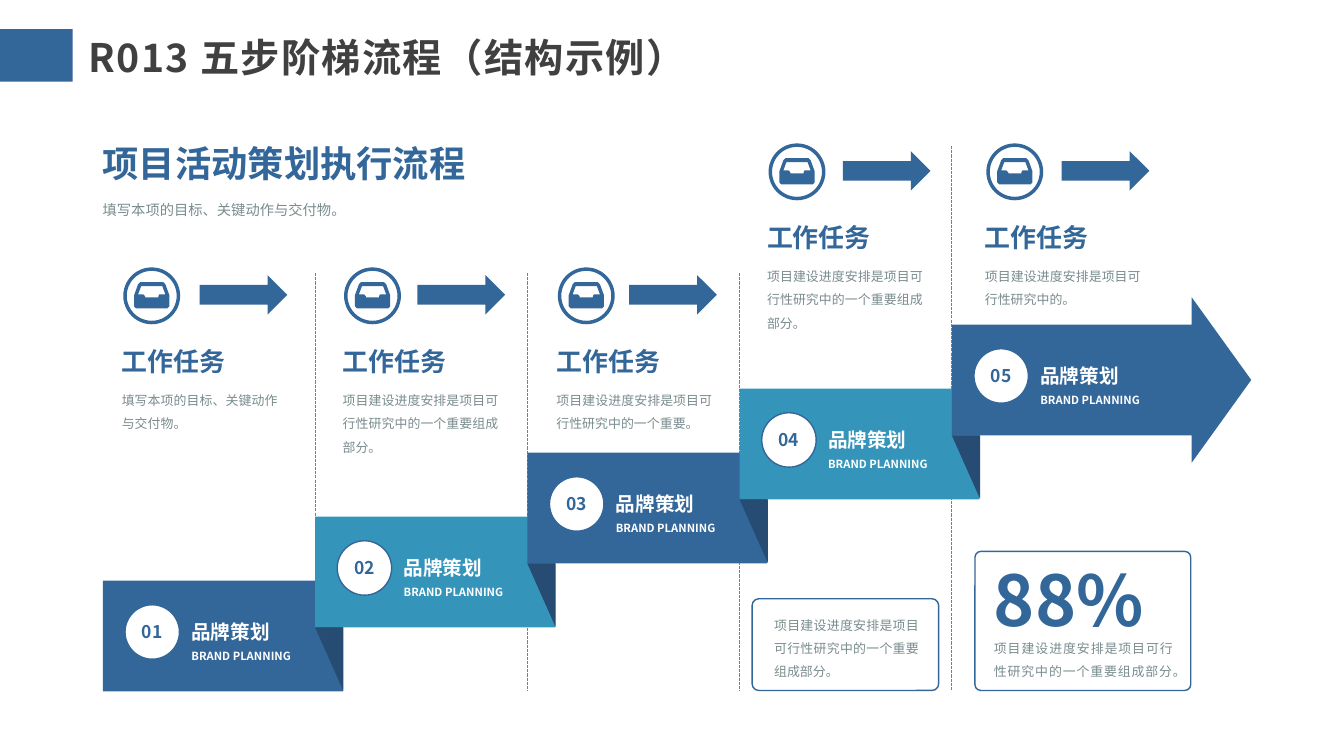
from lxml import etree
from pptx import Presentation
from pptx.dml.color import RGBColor
from pptx.enum.dml import MSO_LINE
from pptx.enum.shapes import MSO_CONNECTOR, MSO_SHAPE as SHAPE
from pptx.enum.text import MSO_ANCHOR, MSO_AUTO_SIZE, PP_ALIGN
from pptx.oxml.ns import qn
from pptx.util import Inches, Pt

FONT = "Noto Sans CJK SC"
BLUE = RGBColor(0x33, 0x66, 0x99)
TEAL = RGBColor(0x34, 0x94, 0xBA)
NAVY = RGBColor(0x26, 0x4C, 0x73)
DARK = RGBColor(0x40, 0x40, 0x40)
GRAY = RGBColor(0x7A, 0x8C, 0x8E)
DASH = RGBColor(0x7F, 0x7F, 0x7F)
WHITE = RGBColor(0xFF, 0xFF, 0xFF)

TITLE = "R013 五步阶梯流程（结构示例）"
HEADING = "项目活动策划执行流程"
INTRO = "填写本项的目标、关键动作与交付物。"
TASK = "工作任务"
STEP_LABELS = ("品牌策划", "BRAND PLANNING")
DETAIL = "项目建设进度安排是项目可行性研究中的一个重要组成部分。"
PERCENT = "88%"

LOW, HIGH = 2.67, 1.44
TASKS = [
    (1.11, LOW, 1.98, INTRO),
    (3.3, LOW, 4.14, DETAIL),
    (5.42, LOW, 6.24, "项目建设进度安排是项目可行性研究中的一个重要。"),
    (7.51, HIGH, 8.36, DETAIL),
    (9.67, HIGH, 10.53, "项目建设进度安排是项目可行性研究中的。"),
]
STEP_COUNT = len(TASKS)
STEP_LEFT, STEP_TOP = 1.02, 5.76
STEP_DX, STEP_DY = 2.105, -0.635
STEP_WIDTH, STEP_HEIGHT = 2.38, 1.1
FOLD_WIDTH, FOLD_HEIGHT = 0.28, 0.63
DIVIDER_TOPS = [2.71, 2.71, 2.71, 1.45]
DIVIDER_BOTTOM = 6.85

TRAY_OUTER = [(0.35, 0.24), (0.33, 0.26), (0.02, 0.26), (0, 0.24), (0, 0.13),
              (0.04, 0.02), (0.06, 0), (0.29, 0), (0.31, 0.02), (0.35, 0.13)]
TRAY_INNER = [(0.28, 0.04), (0.07, 0.04), (0.04, 0.12), (0.09, 0.12), (0.11, 0.14),
              (0.11, 0.15), (0.24, 0.15), (0.24, 0.14), (0.25, 0.12), (0.31, 0.12)]
ARROW_HEAD = [(0, 0), (2.38, 0), (2.38, -0.27), (2.97, 0.55),
              (2.38, 1.37), (2.38, 1.1), (0, 1.1)]

presentation = Presentation()
presentation.slide_width, presentation.slide_height = Inches(13.33), Inches(7.5)
slide = presentation.slides.add_slide(presentation.slide_layouts[6])
shapes = slide.shapes


def paint(shape, fill=None, line=None, line_width=1):
    shape.shadow.inherit = False
    if fill is None:
        shape.fill.background()
    else:
        shape.fill.solid()
        shape.fill.fore_color.rgb = fill
    if line is None:
        shape.line.fill.background()
    else:
        shape.line.color.rgb = line
        shape.line.width = Pt(line_width)
    return shape


def add_preset(kind, left, top, width, height, fill=None, line=None, line_width=1):
    shape = shapes.add_shape(kind, Inches(left), Inches(top), Inches(width), Inches(height))
    return paint(shape, fill, line, line_width)


def add_outline(left, top, contours, fill):
    contours = [[(Inches(left + x), Inches(top + y)) for x, y in contour] for contour in contours]
    builder = shapes.build_freeform(*contours[0][0])
    for index, contour in enumerate(contours):
        if index:
            builder.move_to(*contour[0])
        builder.add_line_segments(contour[1:], close=True)
    return paint(builder.convert_to_shape(), fill)


def style_paragraph(paragraph, size, color, bold, align=None, spacing=None):
    if align is not None:
        paragraph.alignment = align
    if spacing is not None:
        paragraph.line_spacing = spacing
    for run in paragraph.runs:
        run.font.name = FONT
        run.font.size = Pt(size)
        run.font.bold = bold
        run.font.color.rgb = color
        east_asian = etree.SubElement(run.font._element, qn("a:ea"))
        east_asian.set("typeface", FONT)


def add_text(left, top, width, height, lines, sizes, color, bold=False,
             align=PP_ALIGN.JUSTIFY, spacing=1.5, wrap=True):
    box = shapes.add_textbox(Inches(left), Inches(top), Inches(width), Inches(height))
    frame = box.text_frame
    frame.text = "\n".join(lines)
    frame.word_wrap = wrap
    frame.auto_size = MSO_AUTO_SIZE.SHAPE_TO_FIT_TEXT
    for paragraph, size in zip(frame.paragraphs, sizes):
        style_paragraph(paragraph, size, color, bold, align, spacing)
    return box


def add_divider(x, top):
    divider = shapes.add_connector(MSO_CONNECTOR.STRAIGHT, Inches(x), Inches(top),
                                   Inches(x), Inches(DIVIDER_BOTTOM))
    divider.line.color.rgb = DASH
    divider.line.width = Pt(0.75)
    divider.line.dash_style = MSO_LINE.SQUARE_DOT
    etree.SubElement(divider._element.spPr, qn("a:effectLst"))


def step_corner(index):
    return STEP_LEFT + STEP_DX * index, STEP_TOP + STEP_DY * index


def add_fold(index):
    left, top = step_corner(index)
    fold = add_preset(SHAPE.ISOSCELES_TRIANGLE, left, top + STEP_HEIGHT,
                      FOLD_WIDTH, FOLD_HEIGHT, NAVY)
    fold.adjustments[0] = 1
    fold.rotation = 180
    fold._element.spPr.xfrm.set("flipH", "1")


def add_step_label(index):
    left, top = step_corner(index)
    badge = add_preset(SHAPE.OVAL, left + 0.22, top + 0.24, 0.54, 0.54, WHITE, BLUE)
    frame = badge.text_frame
    frame.text = f"{index + 1:02d}"
    frame.word_wrap = False
    frame.margin_left = frame.margin_right = 0
    frame.vertical_anchor = MSO_ANCHOR.MIDDLE
    style_paragraph(frame.paragraphs[0], 12.5, BLUE, True, PP_ALIGN.CENTER)
    add_text(left + 0.78, top + 0.22, 1.34, 0.58, STEP_LABELS, (14, 8), WHITE, True)


def add_task(left, top, arrow_left, detail):
    add_text(left, top + 1.1, 1.74, 1, [detail], [9.2], GRAY)
    add_text(left, top + 0.56, 1.74, 0.5, [TASK], [18.5], BLUE, True)
    add_outline(left + 0.22, top + 0.13, [TRAY_OUTER, TRAY_INNER], BLUE)
    add_preset(SHAPE.OVAL, left + 0.13, top, 0.53, 0.53, line=BLUE, line_width=2.5)
    add_preset(SHAPE.RIGHT_ARROW, arrow_left, top + 0.06, 0.87, 0.39, BLUE)


def add_card(left, top, width, height, corner):
    card = add_preset(SHAPE.ROUNDED_RECTANGLE, left, top, width, height, WHITE, BLUE)
    card.adjustments[0] = corner


def main():
    """Build the five-step staircase process slide."""
    add_preset(SHAPE.RECTANGLE, 0, 0.29, 0.72, 0.52, BLUE)
    title = add_text(0.78, 0.28, 10.28, 0.57, [TITLE], [28], DARK, True, None, None)
    title.text_frame.auto_size = MSO_AUTO_SIZE.NONE
    title.text_frame.vertical_anchor = MSO_ANCHOR.MIDDLE
    title.text_frame.paragraphs[0].runs[0].font._element.set("spc", "100")
    add_text(0.92, 1.35, 3.81, 0.53, [HEADING], [25.9], BLUE, True, None, None, wrap=False)
    add_text(0.92, 1.86, 6.41, 0.58, [INTRO], [10.2], GRAY, align=None)

    for index, top in enumerate(DIVIDER_TOPS, start=1):
        add_divider(step_corner(index)[0], top)
    for index in range(STEP_COUNT - 1):
        add_preset(SHAPE.RECTANGLE, *step_corner(index), STEP_WIDTH, STEP_HEIGHT,
                   TEAL if index % 2 else BLUE)
    for index in range(1, STEP_COUNT):
        add_fold(index)
    add_outline(*step_corner(STEP_COUNT - 1), [ARROW_HEAD], BLUE)
    for index, task in enumerate(TASKS):
        add_step_label(index)
        add_task(*task)

    add_card(9.67, 5.47, 2.14, 1.38, 0.043)
    add_text(9.76, 5.47, 1.74, 0.93, [PERCENT], [49.9], BLUE, True, None, None)
    add_text(9.76, 6.23, 1.97, 0.53, [DETAIL], [9.2], GRAY)
    add_card(7.46, 5.94, 1.85, 0.91, 0.072)
    add_text(7.58, 6, 1.63, 0.77, [DETAIL], [9.2], GRAY)
    presentation.save("out.pptx")


if __name__ == "__main__":
    main()
